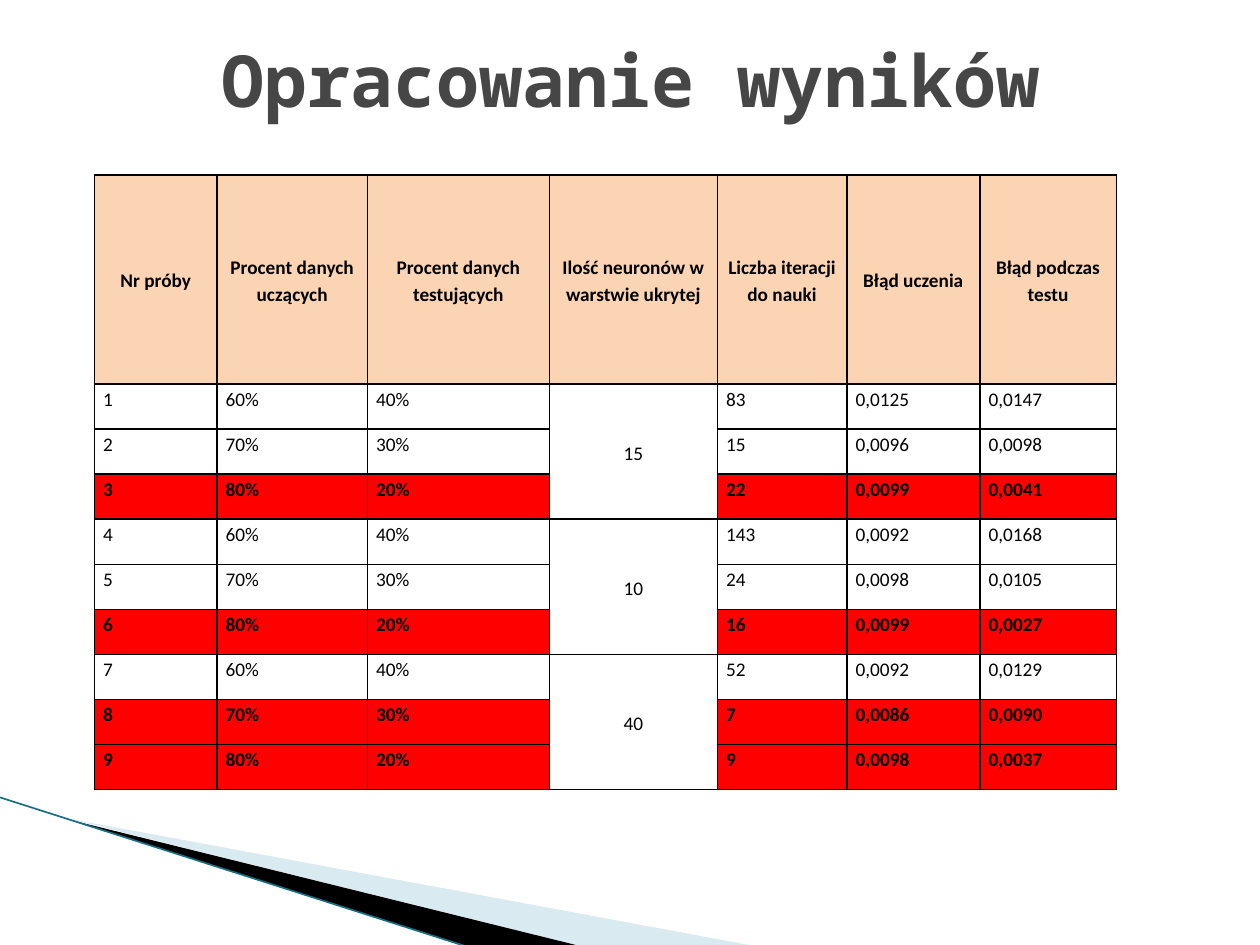
from lxml import etree
from pptx import Presentation
from pptx.dml.color import RGBColor
from pptx.enum import shapes, text
from pptx.oxml import ns
from pptx.util import Pt

COLORS = {
    "title": "464646", "black": "000000", "header": "FBD4B4",
    "best": "FF0000", "pale": "A0CBDC", "edge": "1B6E82",
}
HEADERS = [
    "Nr próby", "Procent danych uczących", "Procent danych testujących",
    "Ilość neuronów w warstwie ukrytej", "Liczba iteracji do nauki",
    "Błąd uczenia", "Błąd podczas testu",
]
COLUMN_WIDTHS = [70, 86, 104, 96, 74, 76, 78]
HEADER_HEIGHT, ROW_HEIGHT = 119.5, 25.75
NEURON_COLUMN = 3
NEURONS = ["15", "10", "40"]
TRAINING_SHARES = [60, 70, 80]
# Iterations, training error, test error
RESULTS = [
    ("83", "0,0125", "0,0147"), ("15", "0,0096", "0,0098"),
    ("22", "0,0099", "0,0041"), ("143", "0,0092", "0,0168"),
    ("24", "0,0098", "0,0105"), ("16", "0,0099", "0,0027"),
    ("52", "0,0092", "0,0129"), ("7", "0,0086", "0,0090"),
    ("9", "0,0098", "0,0037"),
]
BEST_TRIALS = {3, 6, 8, 9}


def color(name):
    return RGBColor.from_string(COLORS[name])


def add_child(parent, tag, **attributes):
    return etree.SubElement(parent, ns.qn(tag), attributes)


def style_paragraph(para, font, size, shade, bold, centred):
    para.font.name, para.font.size, para.font.bold = font, Pt(size), bold
    para.font.color.rgb = color(shade)
    para.alignment = text.PP_ALIGN.CENTER if centred else text.PP_ALIGN.LEFT


def add_wedge(page, points, fill, opacity=100):
    builder = page.shapes.build_freeform(*points[0], scale=Pt(1))
    builder.add_line_segments(points[1:], close=True)
    wedge = builder.convert_to_shape()
    wedge.shadow.inherit = False
    wedge.fill.solid()
    wedge.fill.fore_color.rgb = color(fill)
    wedge.line.fill.background()
    if opacity < 100:
        shade = wedge.fill._xPr.find(".//" + ns.qn("a:srgbClr"))
        add_child(shade, "a:alpha", val=str(opacity * 1000))


def add_line(page, start, end, shade, width):
    line = page.shapes.add_connector(
        shapes.MSO_CONNECTOR.STRAIGHT, *map(Pt, start + end))
    line.line.color.rgb = color(shade)
    line.line.width = Pt(width)
    add_child(line._element.spPr, "a:effectLst")


def add_title(page, wording):
    box = page.shapes.add_textbox(Pt(36.5), Pt(0), Pt(648), Pt(90))
    frame = box.text_frame
    frame.word_wrap = True
    frame.vertical_anchor = text.MSO_ANCHOR.MIDDLE
    para = frame.paragraphs[0]
    para.text = wording
    style_paragraph(para, "Noto Sans Mono", 41, "title", True, True)


def set_borders(cell):
    properties = cell._tc.get_or_add_tcPr()
    for position, side in enumerate(("a:lnL", "a:lnR", "a:lnT", "a:lnB")):
        border = etree.Element(ns.qn(side), w=str(Pt(1)))
        fill = add_child(border, "a:solidFill")
        add_child(fill, "a:srgbClr", val=COLORS["black"])
        properties.insert(position, border)


def fill_cell(cell, wording, fill=None, bold=False, centred=False):
    cell.margin_left = cell.margin_right = Pt(5)
    cell.margin_top = cell.margin_bottom = Pt(0)
    cell.vertical_anchor = (
        text.MSO_ANCHOR.MIDDLE if centred else text.MSO_ANCHOR.TOP)
    if fill:
        cell.fill.solid()
        cell.fill.fore_color.rgb = color(fill)
    else:
        cell.fill.background()
    para = cell.text_frame.paragraphs[0]
    para.text = wording
    para.line_spacing = 1.15
    style_paragraph(para, "Calibri", 11, "black", bold, centred)
    set_borders(cell)


def add_results_table(page):
    heights = [HEADER_HEIGHT] + [ROW_HEIGHT] * len(RESULTS)
    table = page.shapes.add_table(
        len(heights), len(HEADERS), Pt(54), Pt(100),
        Pt(sum(COLUMN_WIDTHS)), Pt(sum(heights))).table
    table.first_row = table.horz_banding = False
    for column, width in zip(table.columns, COLUMN_WIDTHS):
        column.width = Pt(width)
    for row, height in zip(table.rows, heights):
        row.height = Pt(height)

    # Header row
    for index, header in enumerate(HEADERS):
        fill_cell(table.cell(0, index), header, "header", True, True)

    # Trials, with one merged neuron count for each group
    group_size = len(TRAINING_SHARES)
    for trial, result in enumerate(RESULTS, 1):
        group, step = divmod(trial - 1, group_size)
        share = TRAINING_SHARES[step]
        neurons = NEURONS[group] if step == 0 else ""
        best = trial in BEST_TRIALS
        values = [str(trial), f"{share}%", f"{100 - share}%", neurons, *result]
        for index, value in enumerate(values):
            cell = table.cell(trial, index)
            if index == NEURON_COLUMN:
                fill_cell(cell, value, centred=True)
            else:
                fill_cell(cell, value, "best" if best else None, best)
    for first in range(1, len(RESULTS) + 1, group_size):
        table.cell(first, NEURON_COLUMN).merge(
            table.cell(first + group_size - 1, NEURON_COLUMN))


def main():
    deck = Presentation()
    deck.slide_width, deck.slide_height = Pt(720), Pt(540)
    page = deck.slides.add_slide(deck.slide_layouts[6])

    # Corner decoration
    add_wedge(page, [(39.5, 468.5), (428, 540.5), (328, 540.5)], "pale", 40)
    add_wedge(page, [(38, 467.5), (329, 540.5), (268, 541)], "black")
    add_line(page, (-0.5, 455.5), (267, 541), "edge", 0.95)

    # Content
    add_title(page, "Opracowanie wyników")
    add_results_table(page)
    deck.save("out.pptx")


main()
